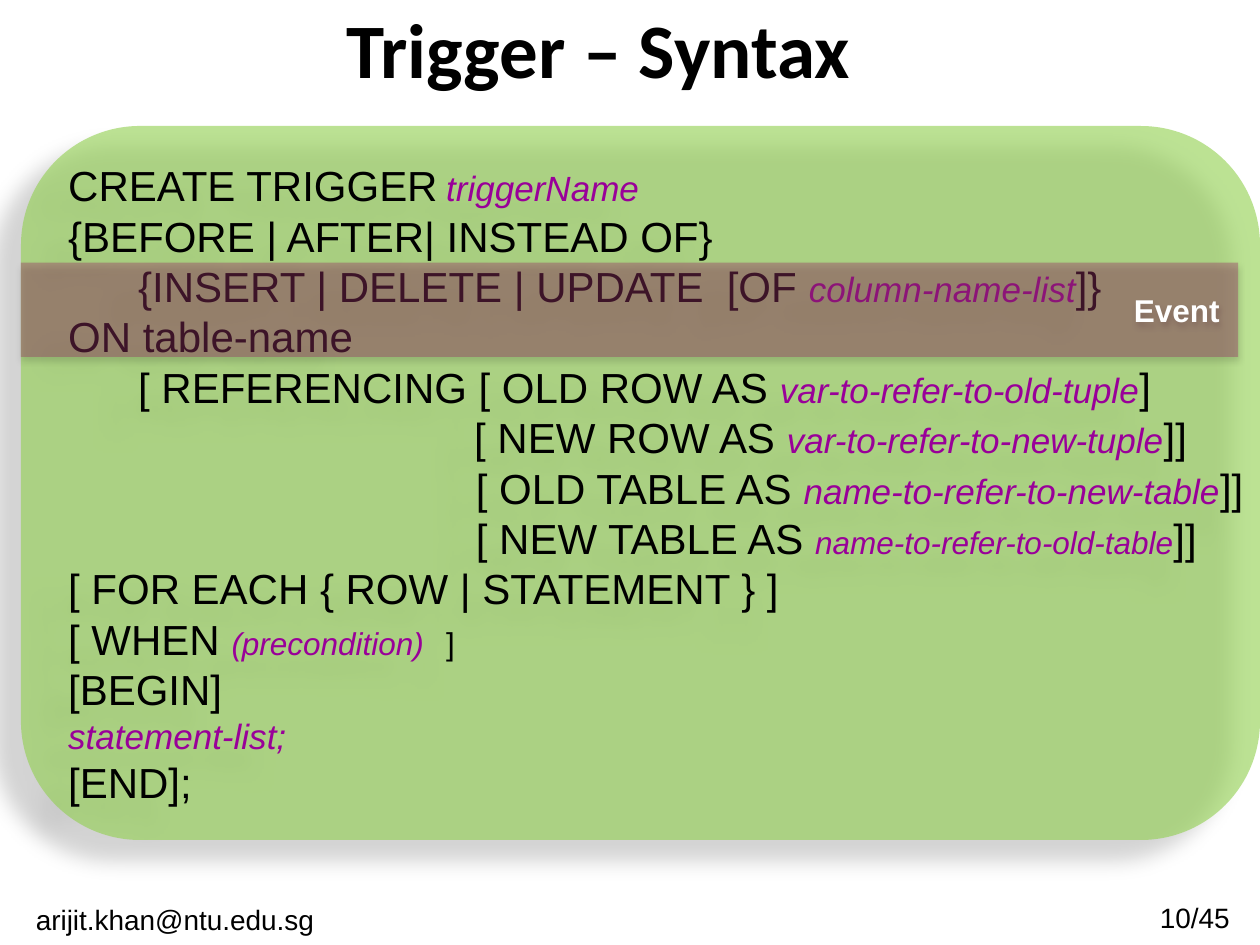
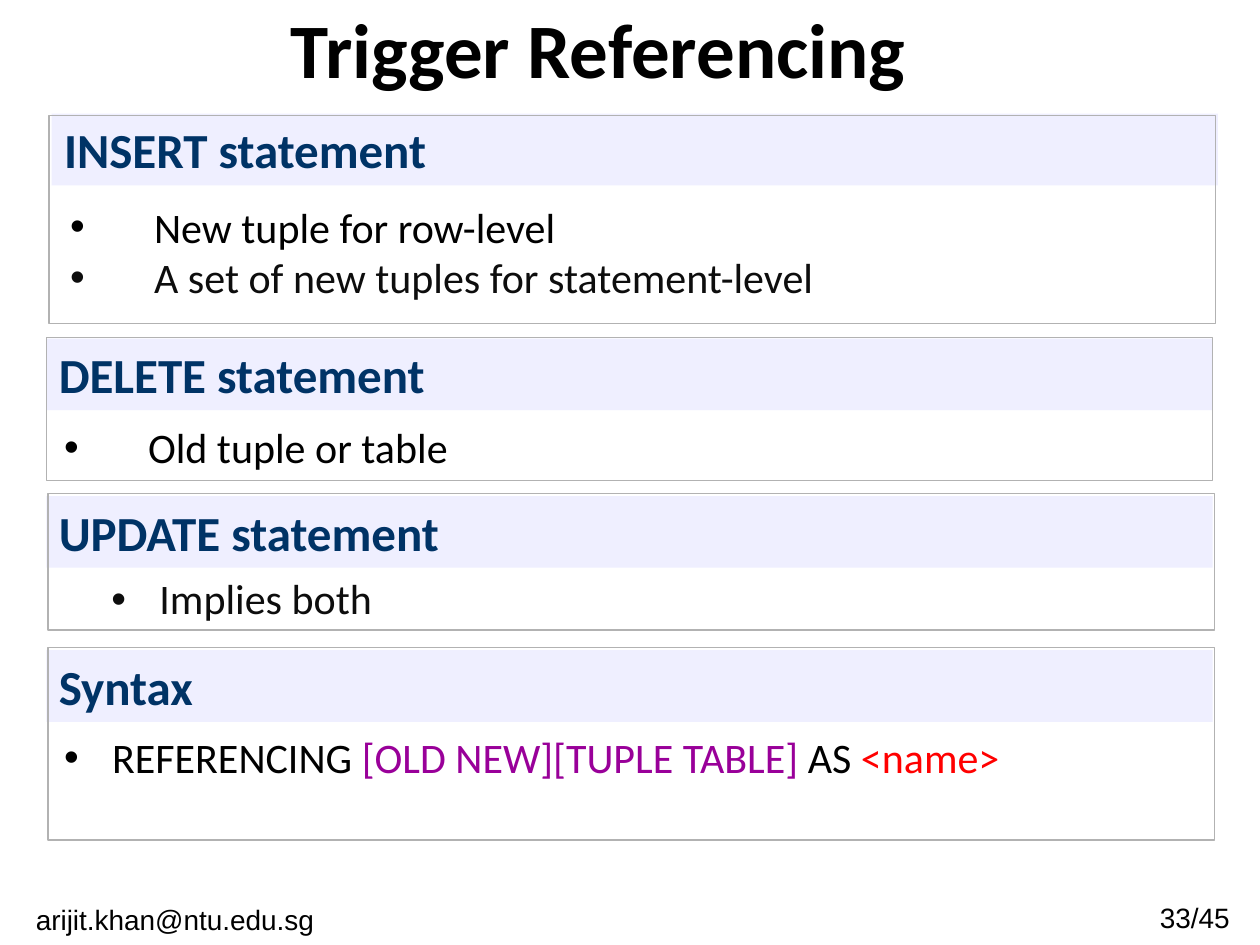
from dataclasses import dataclass
from typing import NamedTuple, Optional

from lxml.etree import SubElement
from pptx import Presentation
from pptx.dml.color import RGBColor
from pptx.enum.shapes import MSO_SHAPE as Preset
from pptx.enum.text import MSO_ANCHOR as Anchor, PP_ALIGN as Align
from pptx.oxml.ns import qn
from pptx.util import Pt

BLACK = RGBColor(0x00, 0x00, 0x00)
WHITE = RGBColor(0xFF, 0xFF, 0xFF)
SOFT_BLACK = RGBColor(0x0D, 0x0D, 0x0D)
PURPLE = RGBColor(0x99, 0x00, 0x99)
RED = RGBColor(0xFF, 0x00, 0x00)
NAVY = RGBColor(0x00, 0x33, 0x66)
LAVENDER = RGBColor(0xEF, 0xEF, 0xFF)
GREY = RGBColor(0xB2, 0xB2, 0xB2)
GREEN = RGBColor(0x92, 0xD0, 0x50)
PLUM = RGBColor(0x99, 0x33, 0x66)

HEADING_FONT, CODE_FONT = "Calibri", "Arial"
PAGE_TOTAL = 45
CARD_WIDTH, BAND_HEIGHT = 666.5, 41


class Box(NamedTuple):
    """Left, top, width and height in points."""
    left: float
    top: float
    width: float
    height: float

    def lengths(self) -> list:
        return [Pt(value) for value in self]


@dataclass(frozen=True)
class Span:
    text: str
    size: float = 24
    color: RGBColor = BLACK
    font: str = CODE_FONT
    bold: bool = False
    italic: bool = False


@dataclass(frozen=True)
class Line:
    spans: tuple
    margin: float = 0
    hanging: float = 0
    bullet: bool = False
    tab: Optional[float] = None
    spacing: Optional[float] = None
    align: Align = Align.LEFT


@dataclass(frozen=True)
class Shadow:
    alpha: int
    blur: float
    distance: float
    angle: int


@dataclass(frozen=True)
class Card:
    """A heading band and bullets inside a thin frame."""
    heading: str
    band_at: tuple
    frame_at: tuple
    frame_height: float
    body_at: tuple
    bullets: tuple


def code(text: str) -> Span:
    return Span(text)


def slot(text: str, size: float = 20) -> Span:
    """A part of the syntax that the user fills in."""
    return Span(text, size, PURPLE, italic=True)


def prose(text: str, color: RGBColor = BLACK) -> Span:
    return Span(text, color=color, font=HEADING_FONT)


def bullet(*spans: Span, margin: float, hanging: float,
           spacing: Optional[float] = None) -> Line:
    return Line(spans, margin, hanging, True, spacing=spacing)


SYNTAX_LINES = (
    Line((code("CREATE TRIGGER\t"), slot("triggerName")), tab=360),
    Line((code("{BEFORE | AFTER| INSTEAD OF}"),)),
    Line((code("{INSERT | DELETE | UPDATE  [OF "), slot("column-name-list"),
          code("]}")), margin=40),
    Line((code("ON table-name"),)),
    Line((code("[ REFERENCING [ OLD ROW AS "),
          slot("var-to-refer-to-old-tuple"), code("]")), margin=40),
    Line((code("[ NEW ROW AS "), slot("var-to-refer-to-new-tuple"),
          code("]]")), margin=232),
    Line((code("[ OLD TABLE AS "), slot("name-to-refer-to-new-table"),
          code("]]")), margin=233),
    Line((code("[ NEW TABLE AS "), slot("name-to-refer-to-old-table", 18),
          code("]]")), margin=233),
    Line((code("[ FOR EACH { ROW | STATEMENT } ]"),)),
    Line((code("[ WHEN "), slot("(precondition)\t", 18), Span("]", 18)), tab=221),
    Line((code("[BEGIN]"),)),
    Line((slot("statement-list;"),)),
    Line((code("[END];"),)),
)

CARDS = (
    Card("INSERT statement", (29.5, 65), (28, 66), 119, (33, 111.5), (
        bullet(prose("New tuple for row-level"), margin=48, hanging=48),
        bullet(prose("A set of new tuples for statement-level", SOFT_BLACK),
               margin=48, hanging=48))),
    Card("DELETE statement", (26.5, 193.5), (26.5, 193), 81.5, (29.5, 237.5), (
        bullet(prose("Old tuple or table"), margin=48, hanging=48),)),
    Card("UPDATE statement", (26.5, 283.5), (27.5, 282), 78, (29.5, 327), (
        bullet(prose("Implies both", SOFT_BLACK), margin=54.5, hanging=27.5,
               spacing=0.9),)),
    Card("Syntax", (26.5, 371.5), (27.5, 370), 110, (29.5, 414.5), (
        bullet(prose("REFERENCING "), prose("[OLD NEW][TUPLE TABLE]", PURPLE),
               prose(" AS "), prose("<name>", RED), margin=27.5, hanging=27.5),)),
)


def format_paragraph(paragraph, line: Line) -> None:
    paragraph.alignment = line.align
    if line.spacing:
        paragraph.line_spacing = line.spacing
    properties = paragraph._p.get_or_add_pPr()
    properties.set("marL", str(Pt(line.margin)))
    properties.set("indent", str(-Pt(line.hanging)))
    if line.bullet:
        SubElement(properties, qn("a:buFont"), typeface="Arial")
        SubElement(properties, qn("a:buChar"), char="•")
    if line.tab:
        tabs = SubElement(properties, qn("a:tabLst"))
        SubElement(tabs, qn("a:tab"), pos=str(Pt(line.tab)), algn="l")


def write(shape, lines: tuple, anchor: Anchor = Anchor.TOP, wrap: bool = True) -> None:
    frame = shape.text_frame
    frame.word_wrap = wrap
    frame.vertical_anchor = anchor
    for index, line in enumerate(lines):
        paragraph = frame.add_paragraph() if index else frame.paragraphs[0]
        format_paragraph(paragraph, line)
        for span in line.spans:
            run = paragraph.add_run()
            run.text = span.text
            font = run.font
            font.name, font.size = span.font, Pt(span.size)
            font.bold, font.italic = span.bold, span.italic
            font.color.rgb = span.color


def add_text(slide, box: Box, lines: tuple, anchor: Anchor = Anchor.TOP) -> None:
    write(slide.shapes.add_textbox(*box.lengths()), lines, anchor)


def add_panel(slide, box: Box, fill: Optional[RGBColor] = None,
              outline: Optional[RGBColor] = None, preset: Preset = Preset.RECTANGLE):
    panel = slide.shapes.add_shape(preset, *box.lengths())
    panel.shadow.inherit = False
    if fill is None:
        panel.fill.background()
    else:
        panel.fill.solid()
        panel.fill.fore_color.rgb = fill
    if outline is None:
        panel.line.fill.background()
    else:
        panel.line.color.rgb = outline
        panel.line.width = Pt(0.75)
    return panel


def set_alpha(color_element, percent: int) -> None:
    SubElement(color_element, qn("a:alpha"), val=str(percent * 1000))


def make_glassy(panel, opacity: int, shadow: Shadow) -> None:
    """Make the fill see-through and cast a soft black shadow."""
    properties = panel._element.spPr
    set_alpha(properties.find(qn("a:solidFill"))[0], opacity)
    outer = SubElement(properties.find(qn("a:effectLst")), qn("a:outerShdw"),
                       blurRad=str(Pt(shadow.blur)), dist=str(Pt(shadow.distance)),
                       dir=str(shadow.angle * 60000), algn="ctr", rotWithShape="0")
    set_alpha(SubElement(outer, qn("a:srgbClr"), val=str(BLACK)), shadow.alpha)


def add_page(deck, title: str, number: int):
    """Add a slide with the shared title and footers."""
    slide = deck.slides.add_slide(deck.slide_layouts[6])
    heading = Span(title, 44, font=HEADING_FONT, bold=True)
    add_text(slide, Box(18, 0, 648, 54), (Line((heading,), align=Align.CENTER),),
             Anchor.MIDDLE)
    footers = ((Box(641, 511, 83.5, 28), f"{number}/{PAGE_TOTAL}"),
               (Box(3.5, 512, 193, 28), "arijit.khan@ntu.edu.sg"))
    for box, text in footers:
        add_text(slide, box, (Line((Span(text, 16),), align=Align.CENTER),))
    return slide


def add_card(slide, card: Card) -> None:
    band = add_panel(slide, Box(*card.band_at, CARD_WIDTH, BAND_HEIGHT), LAVENDER)
    write(band, (Line((Span(card.heading, 28, NAVY, HEADING_FONT, bold=True),)),))
    add_panel(slide, Box(*card.frame_at, CARD_WIDTH, card.frame_height), outline=GREY)
    add_text(slide, Box(*card.body_at, 660, 36 * len(card.bullets)), card.bullets)


def build_syntax_slide(deck) -> None:
    slide = add_page(deck, "Trigger – Syntax", 10)
    syntax = add_panel(slide, Box(12, 72, 708, 408), GREEN,
                       preset=Preset.ROUNDED_RECTANGLE)
    make_glassy(syntax, 61, Shadow(28, 11.8, 19.7, 141))
    write(syntax, SYNTAX_LINES, Anchor.MIDDLE, wrap=False)

    event = add_panel(slide, Box(12, 150, 695.5, 54), PLUM)
    make_glassy(event, 40, Shadow(32, 3.5, 2.2, 90))
    event.text_frame.margin_right = Pt(10.5)
    write(event, (Line((Span("Event", 18, WHITE, bold=True),), align=Align.RIGHT),),
          Anchor.MIDDLE)


def build_referencing_slide(deck) -> None:
    slide = add_page(deck, "Trigger Referencing", 33)
    for card in CARDS:
        add_card(slide, card)


def main() -> None:
    deck = Presentation()
    deck.slide_width, deck.slide_height = Pt(720), Pt(540)
    build_syntax_slide(deck)
    build_referencing_slide(deck)
    deck.save("out.pptx")


if __name__ == "__main__":
    main()
